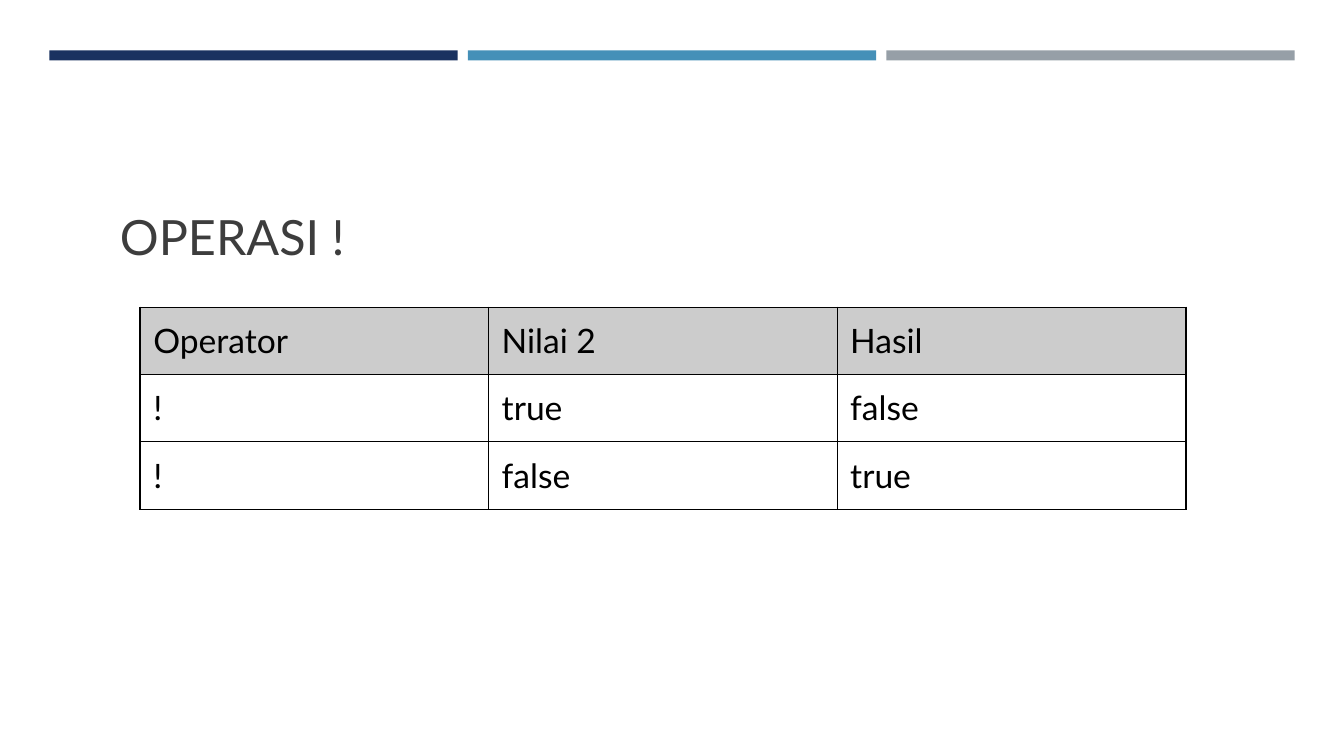
from lxml import etree
from pptx import Presentation
from pptx.dml.color import RGBColor
from pptx.enum.shapes import MSO_SHAPE
from pptx.enum.text import MSO_ANCHOR, MSO_AUTO_SIZE, PP_ALIGN
from pptx.oxml.ns import qn
from pptx.util import Inches, Pt

RECT = MSO_SHAPE.RECTANGLE
TOP = MSO_ANCHOR.TOP
NO_FIT = MSO_AUTO_SIZE.NONE
LEFT = PP_ALIGN.LEFT
FONT = "Lato"
INSET = Inches(0.13)
COLORS = {
    "navy": "1A3260",
    "blue": "4590B8",
    "gray": "969FA7",
    "title": "3D3D3D",
    "text": "000000",
    "border": "000000",
    "header": "CCCCCC",
}
ROWS = [
    ["Operator", "Nilai 2", "Hasil"],
    ["!", "true", "false"],
    ["!", "false", "true"],
]


def rgb(name):
    """Return the named colour."""
    return RGBColor.from_string(COLORS[name])


def format_paragraph(p, size, color):
    """Set the font and alignment of a paragraph."""
    p.alignment = LEFT
    p.font.name = FONT
    p.font.size = Pt(size)
    p.font.color.rgb = rgb(color)


def set_insets(frame):
    """Give a text frame or cell equal margins on all sides."""
    frame.margin_left = frame.margin_right = INSET
    frame.margin_top = frame.margin_bottom = INSET


def add_bars(slide, x, y, w, h, gap=0.1):
    """Draw the three equal header bars across the box."""
    names = ["navy", "blue", "gray"]
    bar_w = (w - gap * (len(names) - 1)) / len(names)
    for i, name in enumerate(names):
        s = slide.shapes.add_shape(RECT, Inches(x + i * (bar_w + gap)),
                                   Inches(y), Inches(bar_w), Inches(h))
        s.shadow.inherit = False
        s.fill.solid()
        s.fill.fore_color.rgb = rgb(name)
        s.line.fill.background()


def add_title(slide, x, y, w, h, text):
    """Place and format the title placeholder."""
    s = slide.shapes.title
    s.left, s.top, s.width, s.height = map(Inches, (x, y, w, h))
    tf = s.text_frame
    tf.text = text
    tf.word_wrap = True
    tf.auto_size = NO_FIT
    tf.vertical_anchor = TOP
    set_insets(tf)
    p = tf.paragraphs[0]
    p.line_spacing = 1.0
    format_paragraph(p, 34.7, "title")


def set_borders(cell, widths):
    """Draw solid borders of the given point widths, keyed by side."""
    tc_pr = cell._tc.get_or_add_tcPr()
    for i, side in enumerate("LRTB"):
        ln = etree.Element(qn(f"a:ln{side}"), w=str(Pt(widths[side])))
        fill = etree.SubElement(ln, qn("a:solidFill"))
        etree.SubElement(fill, qn("a:srgbClr"), val=COLORS["border"])
        tc_pr.insert(i, ln)


def add_truth_table(slide, x, y, w, h, rows, thin=0.75, thick=1.5):
    """Build the truth table with a shaded header row."""
    n_rows, n_cols = len(rows), len(rows[0])
    table = slide.shapes.add_table(n_rows, n_cols, Inches(x), Inches(y),
                                   Inches(w), Inches(h)).table
    for r, row in enumerate(rows):
        for c, text in enumerate(row):
            cell = table.cell(r, c)
            cell.text = text
            cell.vertical_anchor = TOP
            set_insets(cell)
            format_paragraph(cell.text_frame.paragraphs[0], 24, "text")
            if r == 0:
                cell.fill.solid()
                cell.fill.fore_color.rgb = rgb("header")
            else:
                cell.fill.background()
            set_borders(cell, {
                "L": thick if c == 0 else thin,
                "R": thick if c == n_cols - 1 else thin,
                "T": thick if r == 0 else thin,
                "B": thin,
            })


def build_slide(prs):
    """Add the slide on the NOT operator."""
    slide = prs.slides.add_slide(prs.slide_layouts[5])
    add_bars(slide, 0.49, 0.5, 12.35, 0.1)
    add_title(slide, 1.06, 1.92, 11.21, 0.78, "OPERASI !")
    add_truth_table(slide, 1.39, 3.05, 10.37, 2, ROWS)


prs = Presentation()
prs.slide_width, prs.slide_height = Inches(13.33), Inches(7.5)
build_slide(prs)
prs.save("out.pptx")
